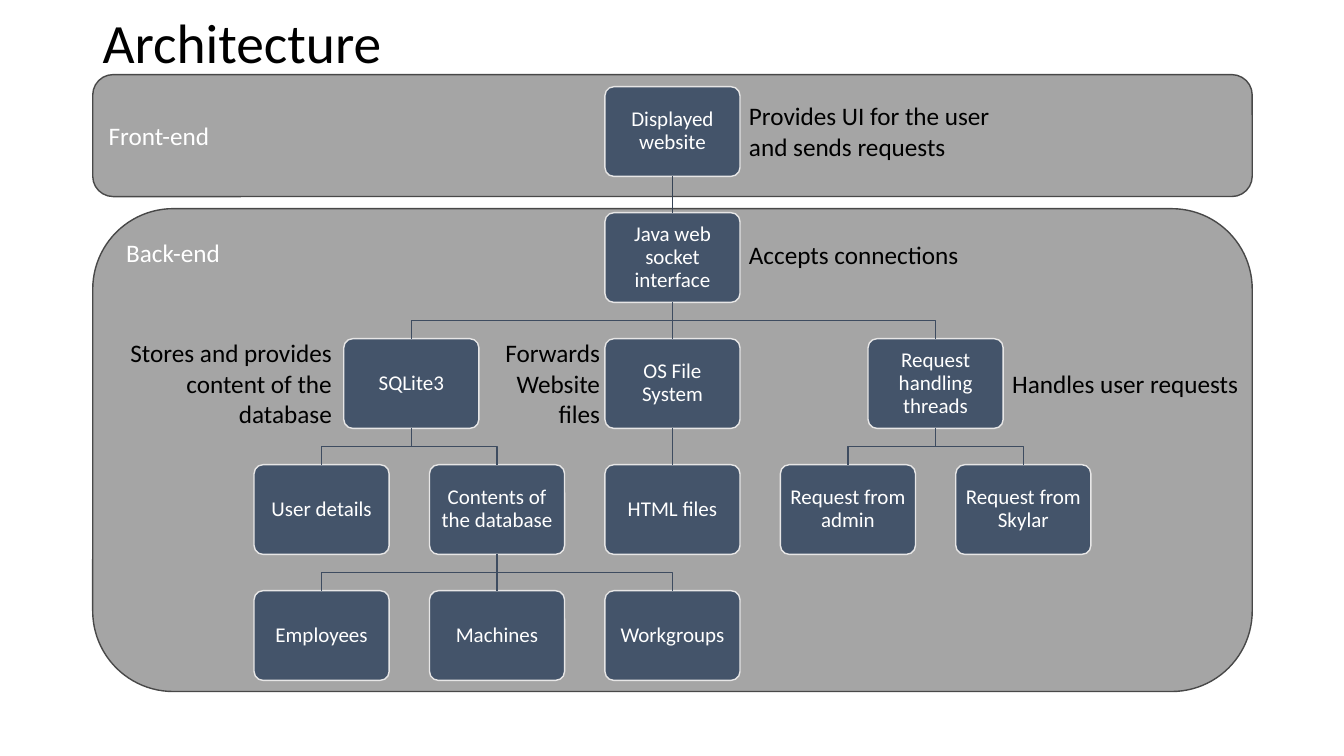
from lxml import etree
from pptx import Presentation
from pptx.dml.color import RGBColor
from pptx.enum.shapes import MSO_CONNECTOR, MSO_SHAPE
from pptx.enum.text import MSO_ANCHOR, PP_ALIGN
from pptx.oxml.ns import qn
from pptx.util import Pt

PX = 9144
FONT = "Calibri"
ROUNDED = MSO_SHAPE.ROUNDED_RECTANGLE
STRAIGHT = MSO_CONNECTOR.STRAIGHT
TOP, MIDDLE = MSO_ANCHOR.TOP, MSO_ANCHOR.MIDDLE
LEFT, CENTER, RIGHT = PP_ALIGN.LEFT, PP_ALIGN.CENTER, PP_ALIGN.RIGHT
BOTTOM_SITE, TOP_SITE = 2, 0

WHITE, BLACK = "FFFFFF", "000000"
BAND_FILL, BAND_LINE = "A5A5A5", "484848"
NODE_FILL, NODE_LINE = "44546A", "E7E6E6"
ROOT_LINK, LINK = "364355", "3E4C60"
NODE_WIDTH, NODE_HEIGHT = 134, 89
COLUMN_STEP, ROW_STEP = 174, 125

BANDS = [
    ("Back-end", (92, 207, 1150, 479), TOP),
    ("Front-end", (92, 74, 1150, 121), MIDDLE),
]
NODES = [
    ("Displayed website", 2, 0, None),
    ("Java web socket interface", 2, 1, "Displayed website"),
    ("SQLite3", 0.51, 2, "Java web socket interface"),
    ("OS File System", 2, 2, "Java web socket interface"),
    ("Request handling threads", 3.5, 2, "Java web socket interface"),
    ("User details", 0, 3, "SQLite3"),
    ("Contents of the database", 1, 3, "SQLite3"),
    ("HTML files", 2, 3, "OS File System"),
    ("Request from admin", 3, 3, "Request handling threads"),
    ("Request from Skylar", 4, 3, "Request handling threads"),
    ("Employees", 0, 4, "Contents of the database"),
    ("Machines", 1, 4, "Contents of the database"),
    ("Workgroups", 2, 4, "Contents of the database"),
]
NOTES = [
    ("Provides UI for the user and sends requests", (733, 95, 295, 71), LEFT, True),
    ("Accepts connections", (733, 233, 230, 40), LEFT, False),
    ("Handles user requests", (994, 360, 247, 40), LEFT, False),
    ("Stores and provides content of the database", (112, 330, 227, 101), RIGHT, True),
    ("Forwards Website files", (472, 330, 133, 101), RIGHT, True),
]


def emu(*lengths):
    """Turn px lengths into EMU."""
    return [round(length * PX) for length in lengths]


def color(value):
    """Turn a hex string into a colour."""
    return RGBColor.from_string(value)


def write(shape, text, size=18, ink=BLACK, align=LEFT, anchor=TOP,
          spacing=1.0, margins=(10, 5), wrap=True):
    """Put formatted text into a shape."""
    frame = shape.text_frame
    frame.word_wrap = wrap
    frame.vertical_anchor = anchor
    frame.margin_left = frame.margin_right = margins[0] * PX
    frame.margin_top = frame.margin_bottom = margins[1] * PX
    para = frame.paragraphs[0]
    para.alignment = align
    para.line_spacing = spacing
    span = para.add_run()
    span.text = text
    span.font.name = FONT
    span.font.size = Pt(size)
    span.font.color.rgb = color(ink)


def add_text(page, text, box, **style):
    """Place a text box."""
    write(page.shapes.add_textbox(*emu(*box)), text, **style)


def add_rounded(page, box, fill, line):
    """Place a filled rounded rectangle."""
    shape = page.shapes.add_shape(ROUNDED, *emu(*box))
    shape.shadow.inherit = False
    shape.fill.solid()
    shape.fill.fore_color.rgb = color(fill)
    shape.line.color.rgb = color(line)
    shape.line.width = Pt(1)
    return shape


def add_band(page, text, box, anchor):
    """Place a labelled grey background band."""
    band = add_rounded(page, box, BAND_FILL, BAND_LINE)
    write(band, text, ink=WHITE, anchor=anchor)


def add_node(page, text, box):
    """Place one component of the tree."""
    node = add_rounded(page, box, NODE_FILL, NODE_LINE)
    node.adjustments[0] = 0.1
    write(node, text, size=15, ink=WHITE, align=CENTER, anchor=MIDDLE,
          spacing=0.9, margins=(6, 6))
    return node


def add_link(page, parent, child, ink):
    """Join a parent's bottom to a child's top, with a bend if needed."""
    start_x, end_x = (node.left + node.width // 2 for node in (parent, child))
    start_y, end_y = parent.top + parent.height, child.top
    if start_x == end_x:
        link = page.shapes.add_connector(STRAIGHT, start_x, start_y, end_x, end_y)
        link.begin_connect(parent, BOTTOM_SITE)
        link.end_connect(child, TOP_SITE)
        properties = link._element.spPr
        link.line.color.rgb = color(ink)
        etree.SubElement(properties, qn("a:effectLst"))
    else:
        middle_y = (start_y + end_y) // 2
        outline = page.shapes.build_freeform(start_x, start_y)
        outline.add_line_segments(
            [(start_x, middle_y), (end_x, middle_y), (end_x, end_y)], close=False)
        link = outline.convert_to_shape()
        link.shadow.inherit = False
        link.fill.background()
        link.line.color.rgb = color(ink)
    link.line.width = Pt(1)


def add_tree(page, left, top):
    """Place the components on a grid and link each to its parent."""
    placed = {}
    for text, column, row, parent in NODES:
        box = (round(left + column * COLUMN_STEP), top + row * ROW_STEP,
               NODE_WIDTH, NODE_HEIGHT)
        placed[text] = add_node(page, text, box)
        if parent:
            ink = ROOT_LINK if row == 1 else LINK
            add_link(page, placed[parent], placed[text], ink)


def add_architecture(page):
    """Fill the architecture slide."""
    for text, box, anchor in BANDS:
        add_band(page, text, box, anchor)
    add_text(page, "Architecture", (92, 17, 1150, 57), size=39.6,
             anchor=MIDDLE, spacing=0.9)
    add_tree(page, 252, 86)
    for text, box, align, wrap in NOTES:
        add_text(page, text, box, align=align, wrap=wrap)


def main():
    """Build and save the deck."""
    deck = Presentation()
    deck.slide_width, deck.slide_height = emu(1333, 750)
    add_architecture(deck.slides.add_slide(deck.slide_layouts[6]))
    deck.save("out.pptx")


if __name__ == "__main__":
    main()
